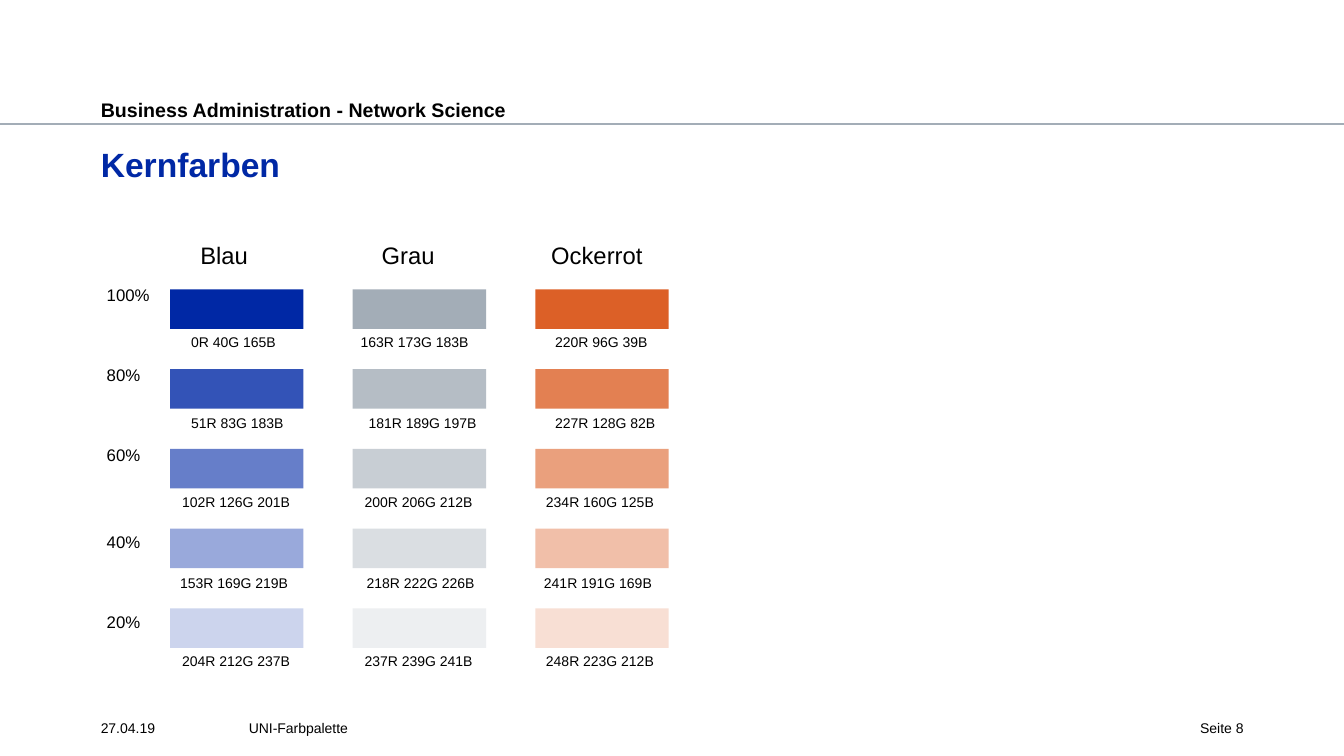
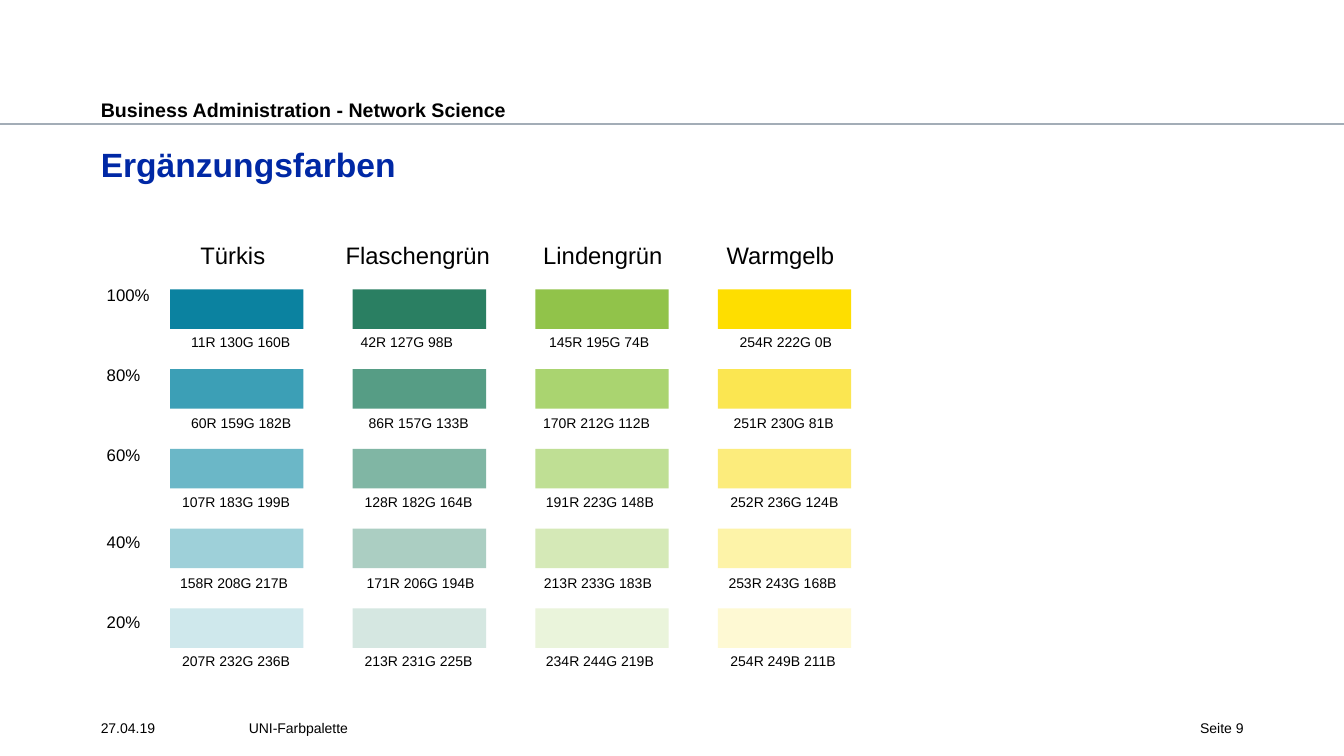
"""Build two slides that show colour palettes with their tints."""
import dataclasses

import lxml.etree
import pptx
import pptx.dml.color
import pptx.enum.shapes
import pptx.enum.text
import pptx.oxml.ns
import pptx.util

Cm = pptx.util.Cm
RGB = pptx.dml.color.RGBColor
Align = pptx.enum.text.PP_ALIGN
Fit = pptx.enum.text.MSO_AUTO_SIZE


@dataclasses.dataclass(frozen=True)
class Theme:
    font: str = "Arial"
    black: RGB = RGB(0, 0, 0)
    blue: RGB = RGB(0, 40, 165)
    grey: RGB = RGB(163, 173, 183)
    title: int = 24
    name: int = 17
    head: int = 14
    share: int = 12
    small: int = 10


THEME = Theme()
WIDTH, HEIGHT = 33.87, 19.05
LEFT, RIGHT = 2.54, 31.34
BAR_LEFT, BAR_TOP = 4.29, 7.29
BAR_WIDTH, BAR_HEIGHT = 3.36, 1
STEP, PITCH = 4.6, 2.01
ROWS = [
    ("100%", 7.06, 8.28),
    ("80%", 9.07, 10.31),
    ("60%", 11.07, 12.32),
    ("40%", 13.28, 14.35),
    ("20%", 15.29, 16.31),
]

# Each hue: name, name shift, name width, label shifts, labels
CORE = [
    ("Blau", 0.51, 1.73, (0.28, 0.28, 0.05, 0, 0.05),
     ("0R 40G 165B", "51R 83G 183B", "102R 126G 201B",
      "153R 169G 219B", "204R 212G 237B")),
    ("Grau", 0.48, 1.85, (-0.05, 0.15, 0.05, 0.1, 0.05),
     ("163R 173G 183B", "181R 189G 197B", "200R 206G 212B",
      "218R 222G 226B", "237R 239G 241B")),
    ("Ockerrot", 0.15, 2.84, (0.25, 0.25, 0.02, -0.03, 0.02),
     ("220R 96G 39B", "227R 128G 82B", "234R 160G 125B",
      "241R 191G 169B", "248R 223G 212B")),
]
EXTRA = [
    ("Türkis", 0.51, 2.16, (0.28, 0.28, 0.05, 0, 0.05),
     ("11R 130G 160B", "60R 159G 182B", "107R 183G 199B",
      "158R 208G 217B", "207R 232G 236B")),
    ("Flaschengrün", -0.43, 4.19, (-0.05, 0.15, 0.05, 0.1, 0.05),
     ("42R 127G 98B", "86R 157G 133B", "128R 182G 164B",
      "171R 206G 194B", "213R 231G 225B")),
    ("Lindengrün", -0.05, 3.56, (0.1, -0.05, 0.02, -0.03, 0.02),
     ("145R 195G 74B", "170R 212G 112B", "191R 223G 148B",
      "213R 233G 183B", "234R 244G 219B")),
    ("Warmgelb", -0.03, 3.25, (0.3, 0.15, 0.07, 0.02, 0.07),
     ("254R 222G 0B", "251R 230G 81B", "252R 236G 124B",
      "253R 243G 168B", "254R 249B 211B")),
]


def write(shape, text, size, color=THEME.black, bold=False, align=Align.LEFT):
    frame = shape.text_frame
    frame.vertical_anchor = pptx.enum.text.MSO_ANCHOR.TOP
    line = frame.paragraphs[0]
    line.alignment = align
    run = line.add_run()
    run.text = text
    run.font.name = THEME.font
    run.font.size = pptx.util.Pt(size)
    run.font.bold = bold
    run.font.color.rgb = color


def place(shape, left, top, width, height):
    shape.left, shape.top = Cm(left), Cm(top)
    shape.width, shape.height = Cm(width), Cm(height)


def trim(shape, top=0):
    frame = shape.text_frame
    frame.word_wrap = True
    frame.auto_size = Fit.NONE
    frame.margin_left = frame.margin_right = frame.margin_bottom = 0
    frame.margin_top = Cm(top)


def add_box(slide, left, top, width, height):
    return slide.shapes.add_textbox(Cm(left), Cm(top), Cm(width), Cm(height))


def add_label(slide, text, left, top, width, height, size):
    box = add_box(slide, left, top, width, height)
    box.text_frame.word_wrap = False
    box.text_frame.auto_size = Fit.SHAPE_TO_FIT_TEXT
    write(box, text, size)


def add_band(slide):
    rule = slide.shapes.add_connector(
        pptx.enum.shapes.MSO_CONNECTOR.STRAIGHT,
        0, Cm(3.12), Cm(WIDTH), Cm(3.12))
    rule.line.color.rgb = THEME.grey
    rule.line.width = pptx.util.Pt(1.25)
    lxml.etree.SubElement(
        rule.element.spPr, pptx.oxml.ns.qn("a:effectLst"))
    head = add_box(slide, LEFT, 2.36, 20.37, 0.64)
    trim(head, 0.1)
    write(head, "Business Administration - Network Science",
          THEME.head, bold=True)
    for shape in (rule, head):
        slide.slide_layout.shapes.element.append(shape.element)


def add_title(slide, text):
    title = slide.shapes.title
    place(title, LEFT, 3.53, RIGHT - LEFT, 2.21)
    trim(title, 0.1)
    write(title, text, THEME.title, THEME.blue, True)


def add_foot(slide, page):
    for text, left, width, align in (
            ("27.04.19", LEFT, 3.45, Align.LEFT),
            ("UNI-Farbpalette", 6.27, 19.46, Align.LEFT),
            (f"Seite {page}", 29.03, RIGHT - 29.03, Align.RIGHT)):
        box = add_box(slide, left, 18.14, width, 0.61)
        trim(box)
        write(box, text, THEME.small, align=align)


def add_bar(slide, left, top, label):
    bar = slide.shapes.add_shape(
        pptx.enum.shapes.MSO_SHAPE.RECTANGLE,
        Cm(left), Cm(top), Cm(BAR_WIDTH), Cm(BAR_HEIGHT))
    bar.shadow.inherit = False
    bar.fill.solid()
    bar.fill.fore_color.rgb = RGB(*(int(part[:-1]) for part in label.split()))
    bar.line.fill.background()


def add_hue(slide, left, hue):
    name, shift, width, shifts, labels = hue
    add_label(slide, name, left + shift, 5.93, width, 0.99, THEME.name)
    for row, (label, nudge) in enumerate(zip(labels, shifts)):
        add_bar(slide, left, BAR_TOP + row * PITCH, label)
        add_label(slide, label, left + nudge, ROWS[row][2],
                  0.48 + 0.2 * len(label), 0.69, THEME.small)


def add_chips(slide, hues):
    for share, top, _ in ROWS:
        add_label(slide, share, 2.44, top,
                  0.67 + 0.23 * len(share), 0.76, THEME.share)
    for col, hue in enumerate(hues):
        add_hue(slide, BAR_LEFT + col * STEP, hue)


def main():
    deck = pptx.Presentation()
    deck.slide_width, deck.slide_height = Cm(WIDTH), Cm(HEIGHT)
    layout = deck.slide_layouts.get_by_name("Title Only")
    pages = (("Kernfarben", CORE), ("Ergänzungsfarben", EXTRA))
    for page, (title, hues) in enumerate(pages, 8):
        slide = deck.slides.add_slide(layout)
        if page == 8:
            add_band(slide)
        add_title(slide, title)
        add_foot(slide, page)
        add_chips(slide, hues)
    deck.save("out.pptx")


main()
